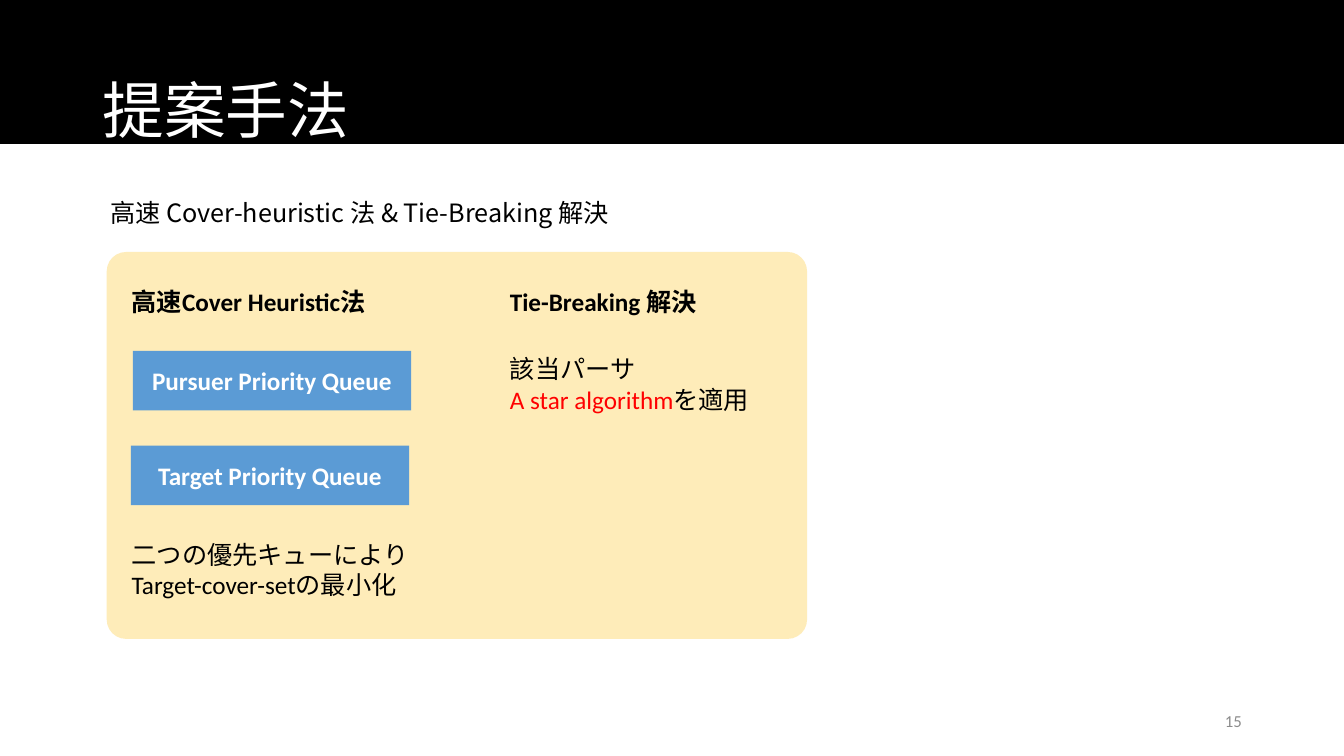
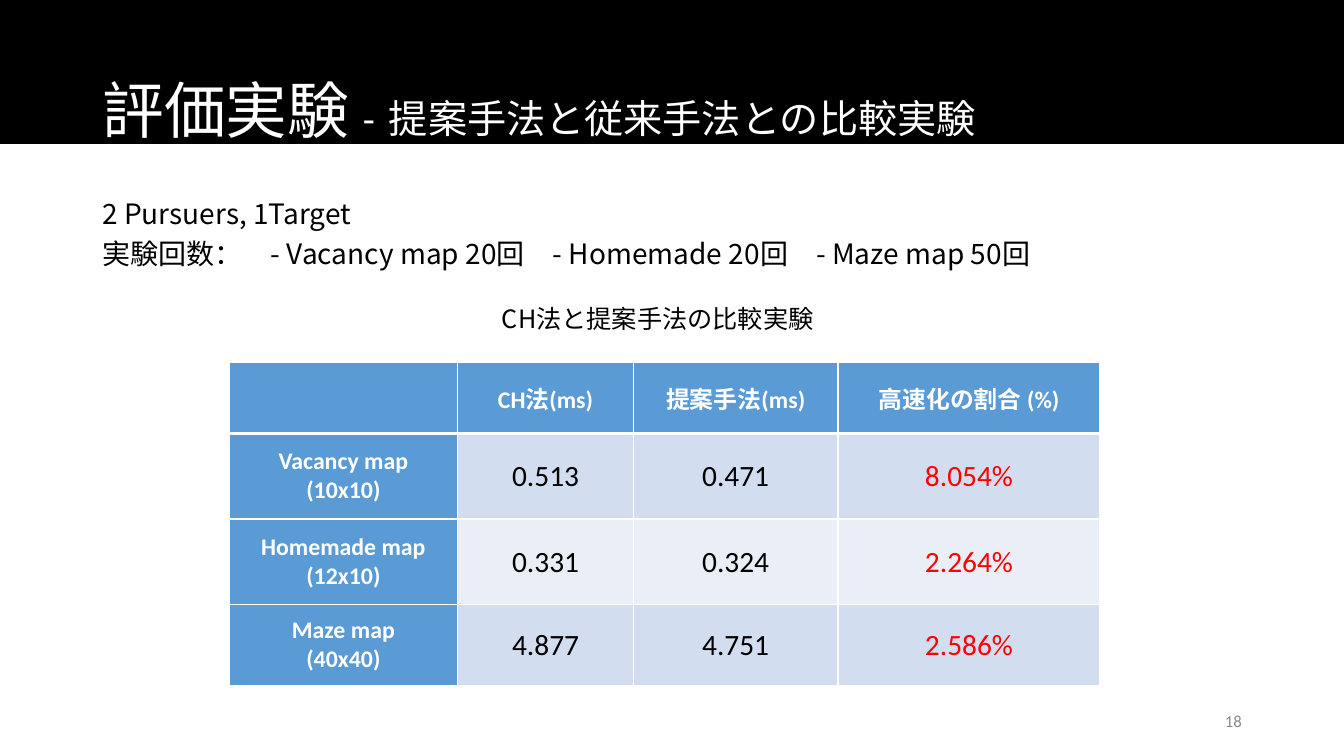
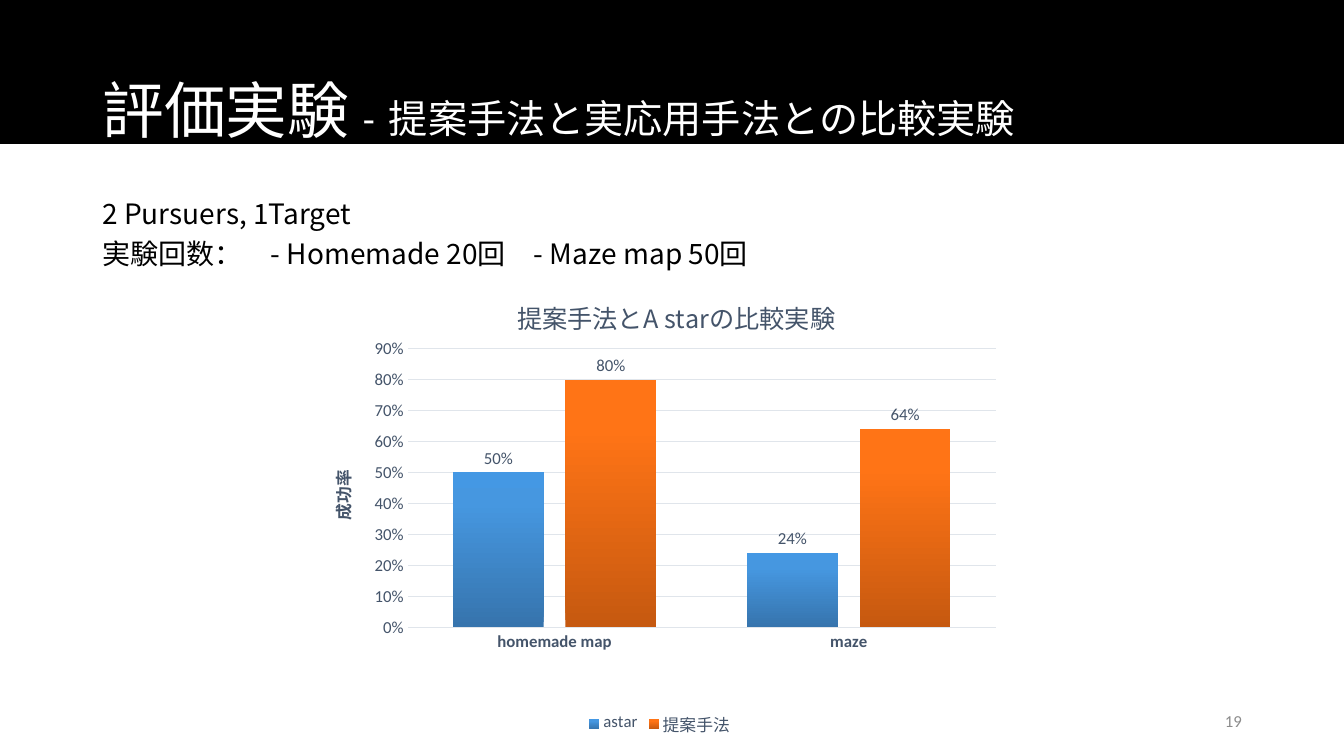
import dataclasses
import typing

import pptx
import pptx.chart.data
import pptx.dml.color
import pptx.enum.chart
import pptx.enum.shapes
import pptx.enum.text
import pptx.oxml
import pptx.oxml.ns
import pptx.util

Cm = pptx.util.Cm
Pt = pptx.util.Pt
qn = pptx.oxml.ns.qn
Shape = pptx.enum.shapes.MSO_SHAPE
Align = pptx.enum.text.PP_ALIGN
Anchor = pptx.enum.text.MSO_ANCHOR

BLACK, WHITE, RED = "000000", "FFFFFF", "FF0000"
BLUE, CREAM, GRAY, SLATE, GRID = "5B9BD5", "FEECB9", "8C8C8C", "44546A", "E0E5EB"
STRIPES = ("D2DEEF", "EAEFF7")
LATIN, ASIAN = "Calibri", "Noto Sans CJK JP"
WIDTH = 33.87
DRAWING = 'xmlns:a="http://schemas.openxmlformats.org/drawingml/2006/main"'
CHART = 'xmlns:c="http://schemas.openxmlformats.org/drawingml/2006/chart"'


class Area(typing.NamedTuple):
    """Left, top, width and height in centimetres."""
    left: float
    top: float
    width: float
    height: float

    def cm(self) -> list:
        return [Cm(side) for side in self]


@dataclasses.dataclass
class Note:
    area: Area
    text: str
    bold: bool = False


@dataclasses.dataclass
class Result:
    label: str
    cover: str
    ours: str
    gain: str


@dataclasses.dataclass
class Series:
    name: str
    values: tuple[float, ...]
    stops: tuple[str, str, str]


def rgb(color: str) -> pptx.dml.color.RGBColor:
    return pptx.dml.color.RGBColor.from_string(color)


def style(font, size: float, color: str, bold: bool = False, name: str = LATIN) -> None:
    font.size, font.bold, font.name = Pt(size), bold, name
    font.color.rgb = rgb(color)


def write(frame, text: str, *, size: float = 18, color: str = BLACK, bold: bool = False,
          font: str = LATIN, align=Align.LEFT, lead: float = 1.0) -> None:
    """Append text to the last paragraph; each line break starts a new one."""
    for index, line in enumerate(text.split("\n")):
        para = frame.add_paragraph() if index else frame.paragraphs[-1]
        para.alignment, para.line_spacing = align, lead
        if line:
            run = para.add_run()
            run.text = line
            style(run.font, size, color, bold, font)
            asian = pptx.oxml.parse_xml(f'<a:ea {DRAWING} typeface="{ASIAN}"/>')
            run.font._element.append(asian)


def box(slide, area: Area, text: str, anchor=Anchor.TOP, **form):
    frame = slide.shapes.add_textbox(*area.cm()).text_frame
    frame.word_wrap, frame.vertical_anchor = True, anchor
    write(frame, text, **form)
    return frame


def block(slide, area: Area, color: str, kind=Shape.RECTANGLE):
    shape = slide.shapes.add_shape(kind, *area.cm())
    shape.shadow.inherit = False
    shape.fill.solid()
    shape.fill.fore_color.rgb = rgb(color)
    shape.line.fill.background()
    return shape


def start(deck, title: str, number: int, theme: str = ""):
    """Add a slide with its band, title and number."""
    slide = deck.slides.add_slide(deck.slide_layouts[5])
    holder = slide.shapes.title
    band = block(slide, Area(0, 0, WIDTH, 3.63), BLACK)
    holder._element.addprevious(band._element)
    holder.left, holder.top, holder.width, holder.height = Area(2.33, 1.01, 29.21, 3.68).cm()
    frame = holder.text_frame
    frame.auto_size = pptx.enum.text.MSO_AUTO_SIZE.NONE
    frame.vertical_anchor = Anchor.MIDDLE
    form = {"color": WHITE, "lead": 0.9}
    write(frame, title, size=44, **form)
    if theme:
        write(frame, " ", size=44, **form)
        write(frame, "-", size=28, **form)
        write(frame, " ", size=44, **form)
        write(frame, theme, size=28, font="Arial", **form)
    box(slide, Area(23.93, 17.65, 7.62, 1.01), str(number), Anchor.MIDDLE,
        size=12, color=GRAY, align=Align.RIGHT)
    return slide


def setup(slide, trials: str) -> None:
    box(slide, Area(2.33, 4.65, 26.67, 2.31), "2 Pursuers, 1Target\n実験回数：" + trials,
        size=20, font=ASIAN, lead=1.2)


def method(deck) -> None:
    slide = start(deck, "提案手法", 15)
    box(slide, Area(2.54, 4.85, 15.65, 1.02),
        "高速 Cover-heuristic 法 & Tie-Breaking 解決", font=ASIAN)
    panel = block(slide, Area(2.69, 6.35, 17.65, 9.75), CREAM, Shape.ROUNDED_RECTANGLE)
    panel.adjustments[0] = 0.05
    queues = (
        Note(Area(3.35, 8.84, 7.01, 1.5), "Pursuer Priority Queue"),
        Note(Area(3.3, 11.23, 7.01, 1.5), "Target Priority Queue"),
    )
    for queue in queues:
        frame = block(slide, queue.area, BLUE).text_frame
        frame.vertical_anchor = Anchor.MIDDLE
        write(frame, queue.text, color=WHITE, bold=True, align=Align.CENTER)
    left, right, top = 3.07, 12.6, 7.09
    notes = (
        Note(Area(left, top, 6.96, 1.02), "高速Cover Heuristic法", True),
        Note(Area(right, top, 6.96, 1.02), "Tie-Breaking 解決", True),
        Note(Area(left, 13.46, 9.04, 1.8), "二つの優先キューによりTarget-cover-setの最小化"),
    )
    for note in notes:
        box(slide, note.area, note.text, bold=note.bold)
    frame = box(slide, Area(right, 8.79, 7.49, 1.8), "該当パーサ\n")
    write(frame, "A star algorithm", color=RED)
    write(frame, "を適用")


def edge(cell, side: str, width: float) -> None:
    cell._tc.get_or_add_tcPr().append(pptx.oxml.parse_xml(
        f'<a:ln{side} {DRAWING} w="{Pt(width)}"><a:solidFill><a:srgbClr val="{WHITE}"/>'
        f'</a:solidFill></a:ln{side}>'))


def fill(cell, text: str, back: str, head: bool, **form) -> None:
    """Set the borders, fill and text of a table cell."""
    for side in "LRTB":
        thick = head and side == "B" or form.pop("under", False) and side == "T"
        edge(cell, side, 3 if thick else 1)
    cell.fill.solid()
    cell.fill.fore_color.rgb = rgb(back)
    cell.vertical_anchor = Anchor.MIDDLE
    cell.margin_left = cell.margin_right = Cm(0.28)
    cell.margin_top = cell.margin_bottom = 0
    write(cell.text_frame, text, align=Align.CENTER, **form)


def compare(deck) -> None:
    slide = start(deck, "評価実験", 18, "提案手法と従来手法との比較実験")
    setup(slide, "　- Vacancy map 20回　- Homemade 20回　- Maze map 50回")
    box(slide, Area(12.4, 7.52, 8.71, 1.02), "CH法と提案手法の比較実験", font=ASIAN)
    heads = Result("", "CH法(ms)", "提案手法(ms)", "高速化の割合 (%)")
    results = (
        Result("Vacancy map\n(10x10)", "0.513", "0.471", "8.054%"),
        Result("Homemade map\n(12x10)", "0.331", "0.324", "2.264%"),
        Result("Maze map\n(40x40)", "4.877", "4.751", "2.586%"),
    )
    widths, heights = (5.77, 4.42, 5.16, 6.6), (1.8, 2.16, 2.16, 2.03)
    area = Area(5.77, 9.12, sum(widths), sum(heights))
    table = slide.shapes.add_table(len(heights), len(widths), *area.cm()).table
    for column, width in zip(table.columns, widths):
        column.width = Cm(width)
    for row, height in zip(table.rows, heights):
        row.height = Cm(height)
    for y, result in enumerate((heads, *results)):
        for x, text in enumerate(dataclasses.astuple(result)):
            cell = table.cell(y, x)
            if x == 0 or y == 0:
                fill(cell, text, BLUE, y == 0, size=17, color=WHITE, bold=True)
            else:
                color = RED if x == 3 else BLACK
                fill(cell, text, STRIPES[(y - 1) % 2], False, size=21, color=color)


def layout(parent, index: int, **places: float) -> None:
    """Fix the place of a chart part, in shares of the chart's size."""
    for old in parent.findall(qn("c:layout")):
        parent.remove(old)
    inner = '<c:layoutTarget val="inner"/>' if "w" in places else ""
    modes = "".join(f'<c:{key}Mode val="edge"/>' for key in "xy")
    sizes = "".join(f'<c:{key} val="{value}"/>' for key, value in places.items())
    parent.insert(index, pptx.oxml.parse_xml(
        f"<c:layout {CHART}><c:manualLayout>{inner}{modes}{sizes}</c:manualLayout></c:layout>"))


def shade(series, stops: tuple[str, str, str]) -> None:
    marks = "".join(f'<a:gs pos="{spot}000"><a:srgbClr val="{color}"/></a:gs>'
                    for spot, color in zip((0, 80, 100), stops))
    series._element.get_or_add_spPr().insert(0, pptx.oxml.parse_xml(
        f'<a:gradFill {DRAWING}><a:gsLst>{marks}</a:gsLst>'
        '<a:lin ang="16200000" scaled="0"/></a:gradFill>'))


def success(deck) -> None:
    slide = start(deck, "評価実験", 19, "提案手法と実応用手法との比較実験")
    setup(slide, "　- Homemade 20回　- Maze map 50回")
    rates = (
        Series("astar", (0.5, 0.24), ("3674AD", "4697E0", "4498E4")),
        Series("提案手法", (0.8, 0.64), ("C65910", "FF7416", "FF7517")),
    )
    data = pptx.chart.data.CategoryChartData(number_format="0%")
    data.categories = ("homemade map", "maze")
    for rate in rates:
        data.add_series(rate.name, rate.values)
    chart = slide.shapes.add_chart(pptx.enum.chart.XL_CHART_TYPE.COLUMN_CLUSTERED,
                                   *Area(7.8, 6.76, 17.65, 11.91).cm(), data).chart
    style(chart.font, 12, SLATE)
    title = chart.chart_title
    write(title.text_frame, "提案手法とA starの比較実験", color=SLATE, font=ASIAN,
          align=Align.CENTER)
    layout(title._element, 1, x=0.29, y=0.05)
    layout(chart._chartSpace.chart.plotArea, 0, x=0.14, y=0.17, w=0.84, h=0.59)

    chart.has_legend = True
    chart.legend.position = pptx.enum.chart.XL_LEGEND_POSITION.BOTTOM
    chart.legend.include_in_layout = False
    style(chart.legend.font, 12, SLATE)

    plot = chart.plots[0]
    plot.gap_width, plot.overlap, plot.vary_by_categories = 100, -24, False
    plot.has_data_labels = True
    labels = plot.data_labels
    labels.show_value = True
    labels.position = pptx.enum.chart.XL_LABEL_POSITION.OUTSIDE_END
    labels.number_format, labels.number_format_is_linked = "0%", False
    style(labels.font, 12, SLATE)
    for series, rate in zip(plot.series, rates):
        shade(series, rate.stops)

    groups, scale = chart.category_axis, chart.value_axis
    for axis in (groups, scale):
        axis.major_tick_mark = pptx.enum.chart.XL_TICK_MARK.NONE
        axis.format.line.fill.background()
        style(axis.tick_labels.font, 12, SLATE, bold=axis is groups)
    scale.minimum_scale, scale.maximum_scale, scale.major_unit = 0, 0.9, 0.1
    scale.tick_labels.number_format = "0%"
    scale.tick_labels.number_format_is_linked = False
    lines = scale.major_gridlines.format.line
    lines.color.rgb, lines.width = rgb(GRID), Pt(0.75)
    frame = scale.axis_title.text_frame
    write(frame, "成功率", size=12, color=SLATE, bold=True, align=Align.CENTER)
    turn = frame._txBody.find(qn("a:bodyPr"))
    turn.set("rot", "-5400000")
    turn.set("vert", "horz")


def main() -> None:
    deck = pptx.Presentation()
    deck.slide_width, deck.slide_height = Cm(WIDTH), Cm(19.05)
    for draw in (method, compare, success):
        draw(deck)
    deck.save("out.pptx")


if __name__ == "__main__":
    main()
